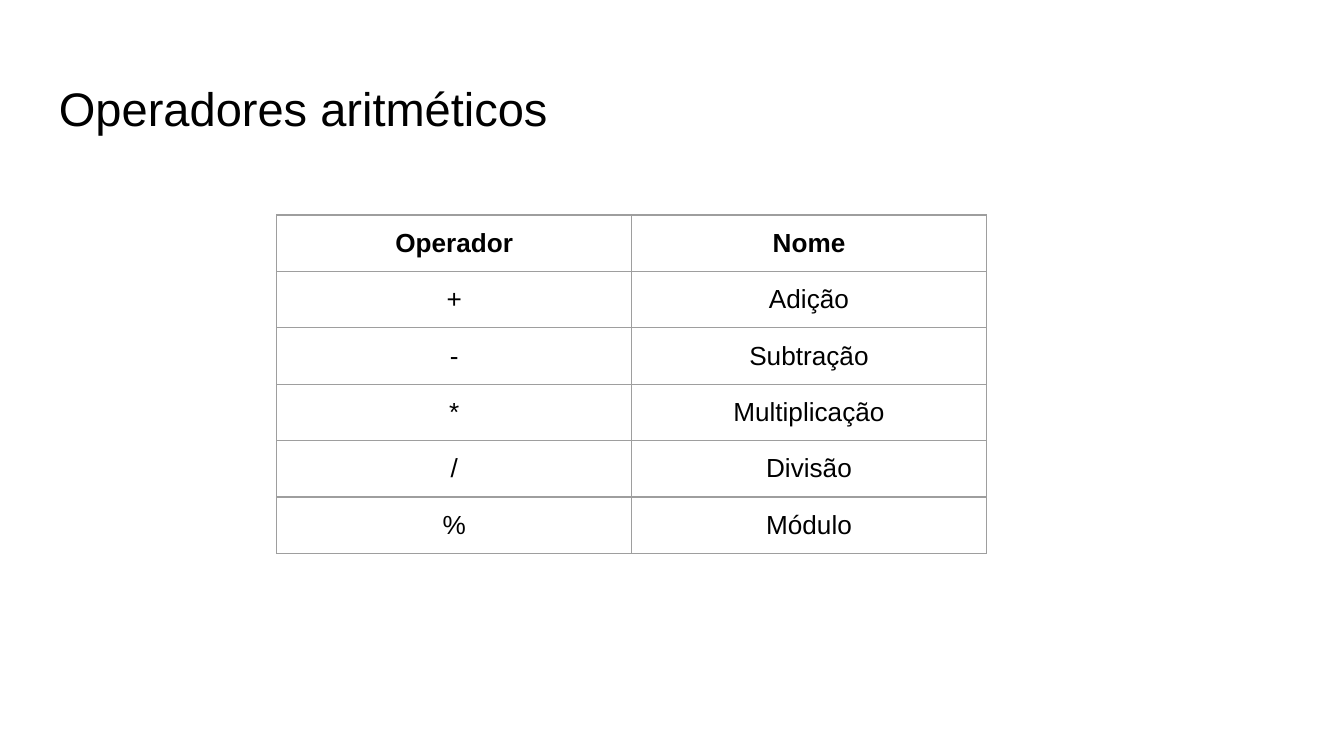
"""Build a slide with a table of arithmetic operators."""
import pptx
import pptx.dml.color
import pptx.enum.text
import pptx.oxml
import pptx.oxml.ns
import pptx.util
from pptx.util import Inches, Pt

TITLE = "Operadores aritméticos"
ROWS = [
    ("Operador", "Nome"),
    ("+", "Adição"),
    ("-", "Subtração"),
    ("*", "Multiplicação"),
    ("/", "Divisão"),
    ("%", "Módulo"),
]
FONT, TEXT, BORDER, PAPER = "Arial", "000000", "9E9E9E", "FFFFFF"
SLIDE_W = 10
COL_W, ROW_H, INSET, CELL_BOTTOM = 2.64, 0.42, 0.1, 0.08


def rgb(value):
    return pptx.dml.color.RGBColor.from_string(value)


def set_font(p, size, bold=False):
    p.font.name = FONT
    p.font.size = Pt(size)
    p.font.bold = bold
    p.font.color.rgb = rgb(TEXT)


def set_insets(box, bottom=INSET):
    box.margin_left = box.margin_right = box.margin_top = Inches(INSET)
    box.margin_bottom = Inches(bottom)


def add_borders(cell):
    tc_pr = cell._tc.get_or_add_tcPr()
    for side in ("lnL", "lnR", "lnT", "lnB"):
        tc_pr.append(pptx.oxml.parse_xml(
            f'<a:{side} {pptx.oxml.ns.nsdecls("a")} w="{Pt(0.75)}">'
            f'<a:solidFill><a:srgbClr val="{BORDER}"/></a:solidFill></a:{side}>'))


def add_title(s):
    sp = s.shapes.add_textbox(Inches(0.34), Inches(0.49), Inches(9.32), Inches(0.63))
    tf = sp.text_frame
    tf.word_wrap = True
    set_insets(tf)
    p = tf.paragraphs[0]
    p.text = TITLE
    set_font(p, 25.2)


def add_operators(s):
    n_rows, n_cols = len(ROWS), len(ROWS[0])
    table = s.shapes.add_table(n_rows, n_cols, Inches(2.06), Inches(1.6),
                               Inches(COL_W * n_cols), Inches(ROW_H * n_rows)).table
    table.horz_banding = False
    for i, row in enumerate(ROWS):
        for j, text in enumerate(row):
            cell = table.cell(i, j)
            set_insets(cell, CELL_BOTTOM)
            add_borders(cell)
            cell.fill.background()
            p = cell.text_frame.paragraphs[0]
            p.text = text
            p.alignment = pptx.enum.text.PP_ALIGN.CENTER
            set_font(p, 14, bold=i == 0)


def main():
    prs = pptx.Presentation()
    prs.slide_width, prs.slide_height = Inches(SLIDE_W), Inches(SLIDE_W * 9 / 16)
    s = prs.slides.add_slide(prs.slide_layouts[6])
    s.background.fill.solid()
    s.background.fill.fore_color.rgb = rgb(PAPER)
    add_title(s)
    add_operators(s)
    prs.save("out.pptx")


if __name__ == "__main__":
    main()
